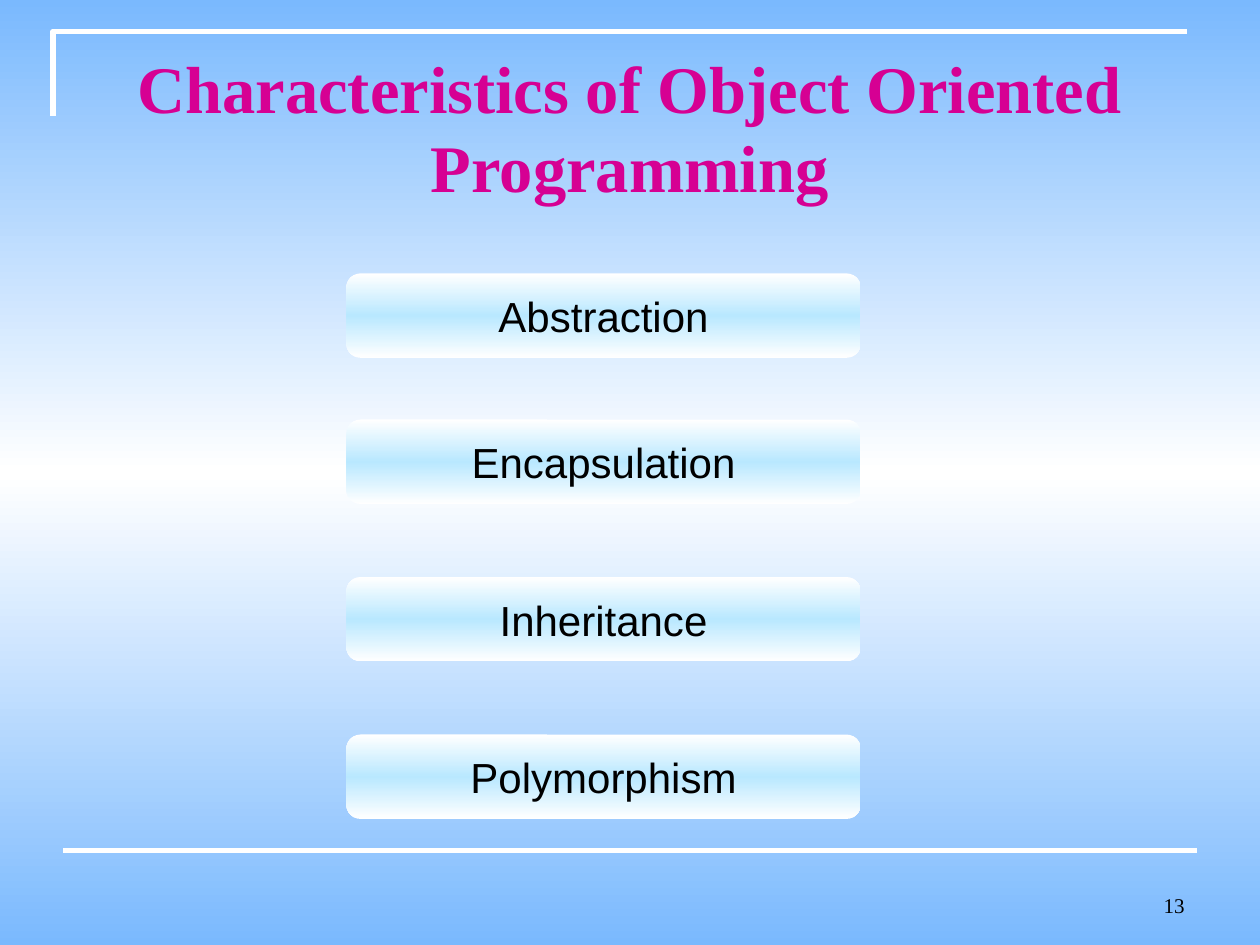
import copy

import pptx
import pptx.dml.color
import pptx.enum.shapes
import pptx.enum.text
import pptx.oxml
import pptx.util

Inches = pptx.util.Inches
Pt = pptx.util.Pt
Align = pptx.enum.text.PP_ALIGN
Anchor = pptx.enum.text.MSO_ANCHOR

COLORS = {
    "sky": "7AB9FE",
    "white": "FFFFFF",
    "ice": "B9E8FF",
    "magenta": "D60093",
    "black": "000000",
}


def rgb(name):
    return pptx.dml.color.RGBColor.from_string(COLORS[name])


class Deck:
    serif = "Times New Roman"
    sans = "Arial"
    rule_width = Pt(3)

    def __init__(self, width, height):
        self.presentation = pptx.Presentation()
        self.presentation.slide_width = Inches(width)
        self.presentation.slide_height = Inches(height)
        self.slide = self.presentation.slides.add_slide(
            self.presentation.slide_layouts[6])

    def gradient(self, fill, owner, edge, middle):
        """Fill top to bottom from edge to middle and back; owner is the XML holding the fill."""
        fill.gradient()
        fill.gradient_angle = 270
        stop_list = owner.xpath(".//a:gsLst")[0]
        stop_list.append(copy.deepcopy(stop_list[0]))
        for stop, position, color in zip(
                fill.gradient_stops, (0, 0.5, 1), (edge, middle, edge)):
            stop.position = position
            stop.color.rgb = rgb(color)

    def background(self, edge, middle):
        self.gradient(self.slide.background.fill, self.slide.element, edge, middle)

    def corner(self, left, top, right, bottom):
        """Draw an open bracket around the upper left corner."""
        builder = self.slide.shapes.build_freeform(Inches(left), Inches(bottom))
        builder.add_line_segments(
            [(Inches(left), Inches(top)), (Inches(right), Inches(top))], close=False)
        bracket = builder.convert_to_shape()
        bracket.shadow.inherit = False
        bracket.fill.background()
        self.stroke(bracket.line)

    def rule(self, left, right, y):
        rule = self.slide.shapes.add_connector(
            pptx.enum.shapes.MSO_CONNECTOR.STRAIGHT,
            Inches(left), Inches(y), Inches(right), Inches(y))
        self.stroke(rule.line)
        rule._element.spPr.append(pptx.oxml.parse_xml(
            '<a:effectLst xmlns:a="http://schemas.openxmlformats.org/drawingml/2006/main"/>'))

    def stroke(self, line):
        line.color.rgb = rgb("white")
        line.width = self.rule_width

    def set_text(self, frame, words, size, font, color="black", align=Align.CENTER, bold=False):
        paragraph = frame.paragraphs[0]
        paragraph.text = words
        paragraph.alignment = align
        paragraph.font.size = Pt(size)
        paragraph.font.name = font
        paragraph.font.bold = bold
        paragraph.font.color.rgb = rgb(color)
        return paragraph

    def text_box(self, left, top, width, height, anchor):
        frame = self.slide.shapes.add_textbox(
            Inches(left), Inches(top), Inches(width), Inches(height)).text_frame
        frame.word_wrap = True
        frame.vertical_anchor = anchor
        return frame

    def title(self, words):
        frame = self.text_box(0.5, 0.3, 9, 1.25, Anchor.TOP)
        frame.margin_top = Inches(0.08)
        heading = self.set_text(frame, words, 38, self.serif, "magenta", bold=True)
        heading.line_spacing = Pt(45)

    def page_number(self, number):
        frame = self.text_box(7.17, 6.83, 2.33, 0.5, Anchor.BOTTOM)
        self.set_text(frame, number, 12, self.serif, align=Align.RIGHT)

    def pill(self, words, top):
        pill = self.slide.shapes.add_shape(
            pptx.enum.shapes.MSO_SHAPE.ROUNDED_RECTANGLE,
            Inches(2.75), Inches(top), Inches(4.08), Inches(0.67))
        pill.shadow.inherit = False
        pill.line.fill.background()
        self.gradient(pill.fill, pill._element, "white", "ice")
        pill.text_frame.word_wrap = False
        pill.text_frame.vertical_anchor = Anchor.MIDDLE
        self.set_text(pill.text_frame, words, 24, self.sans)


def main():
    deck = Deck(10, 7.5)
    deck.background("sky", "white")
    deck.corner(0.42, 0.25, 9.42, 0.92)
    deck.rule(0.5, 9.5, 6.75)
    deck.page_number("13")
    deck.title("Characteristics of Object Oriented Programming")
    characteristics = {
        "Abstraction": 2.17,
        "Encapsulation": 3.33,
        "Inheritance": 4.58,
        "Polymorphism": 5.83,
    }
    for characteristic, top in characteristics.items():
        deck.pill(characteristic, top)
    deck.presentation.save("out.pptx")


if __name__ == "__main__":
    main()
